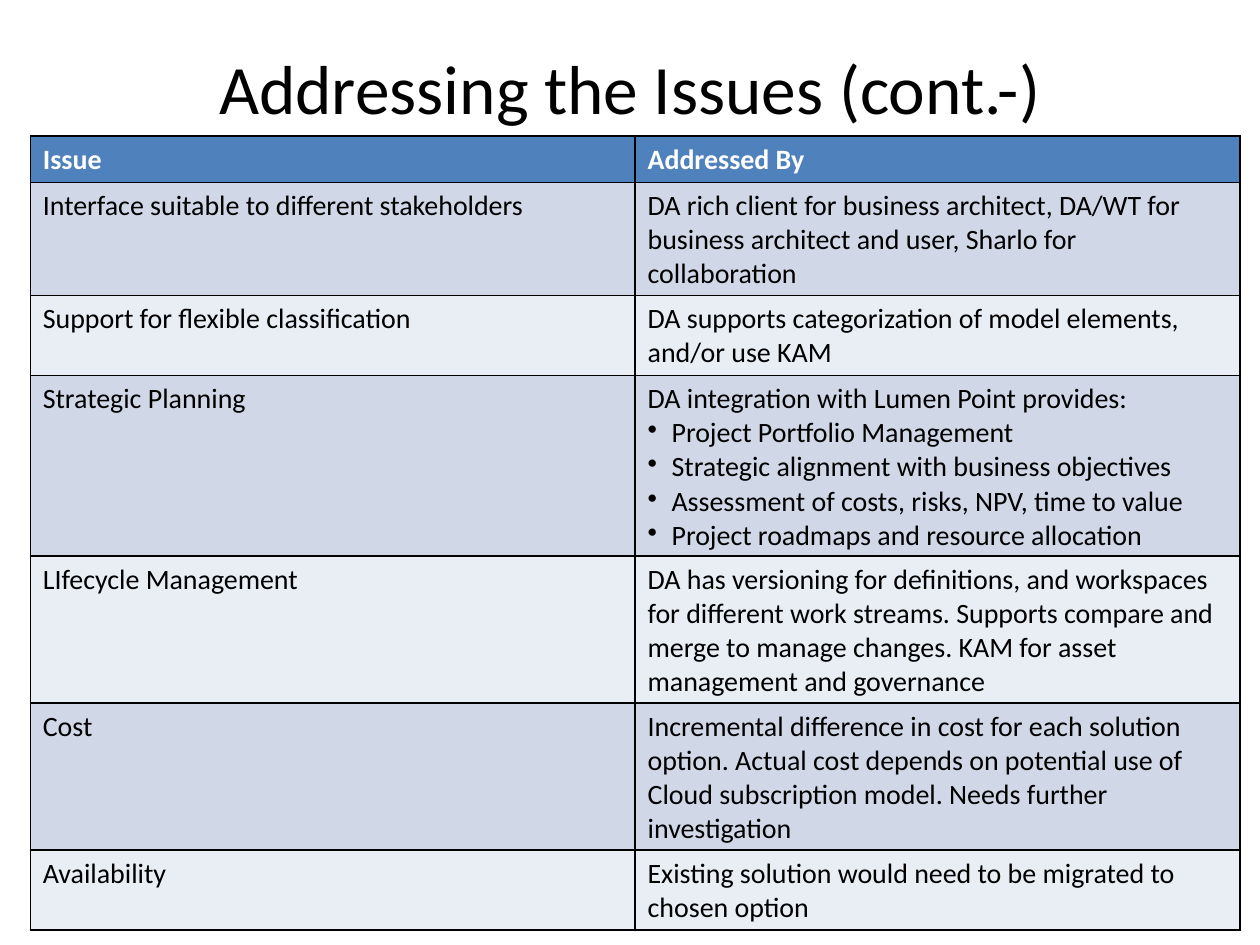
import pptx
import pptx.dml.color
import pptx.enum.text
import pptx.oxml
import pptx.oxml.ns
import pptx.util
from pptx.util import Inches

TITLE = "Addressing the Issues (cont.-)"
FONT = "Calibri"
BLACK, WHITE = "000000", "FFFFFF"
HEADER_FILL = "4F81BD"
BAND_FILLS = ["E9EDF4", "D0D8E8"]
BULLET = "• "
COLUMN_WIDTH = 4.8
ROW_HEIGHTS = [0.35, 0.87, 0.56, 1.38, 0.87, 1.12, 0.61]
ROWS = [
    ("Issue", ["Addressed By"]),
    ("Interface suitable to different stakeholders",
     ["DA rich client for business architect, DA/WT for business architect and user, "
      "Sharlo for collaboration"]),
    ("Support for flexible classification",
     ["DA supports categorization of model elements, and/or use KAM"]),
    ("Strategic Planning",
     ["DA integration with Lumen Point provides:",
      "• Project Portfolio Management",
      "• Strategic alignment with business objectives",
      "• Assessment of costs, risks, NPV, time to value",
      "• Project roadmaps and resource allocation"]),
    ("LIfecycle Management",
     ["DA has versioning for definitions, and workspaces for different work streams. "
      "Supports compare and merge to manage changes. KAM for asset management and governance"]),
    ("Cost",
     ["Incremental difference in cost for each solution option. Actual cost depends on "
      "potential use of Cloud subscription model. Needs further investigation"]),
    ("Availability",
     ["Existing solution would need to be migrated to chosen option"]),
]


def rgb(value):
    return pptx.dml.color.RGBColor.from_string(value)


def style(para, size, color, bold=False):
    para.font.name = FONT
    para.font.size = pptx.util.Pt(size)
    para.font.color.rgb = rgb(color)
    para.font.bold = bold


def add_bullet(para):
    properties = para._p.get_or_add_pPr()
    properties.set("marL", str(Inches(0.19)))
    properties.set("indent", str(Inches(-0.19)))
    bullet = pptx.oxml.parse_xml(
        f'<a:buChar {pptx.oxml.ns.nsdecls("a")} char="{BULLET.strip()}"/>')
    properties.insert_element_before(bullet, "a:tabLst", "a:defRPr", "a:extLst")


def add_borders(cell):
    properties = cell._tc.get_or_add_tcPr()
    for index, side in enumerate(["lnL", "lnR", "lnT", "lnB"]):
        border = pptx.oxml.parse_xml(
            f'<a:{side} {pptx.oxml.ns.nsdecls("a")} w="{pptx.util.Pt(1)}"><a:solidFill>'
            f'<a:srgbClr val="{BLACK}"/></a:solidFill></a:{side}>')
        properties.insert(index, border)


def fill_cell(cell, lines, fill, color, bold):
    cell.fill.solid()
    cell.fill.fore_color.rgb = rgb(fill)
    add_borders(cell)
    frame = cell.text_frame
    for index, line in enumerate(lines):
        para = frame.add_paragraph() if index else frame.paragraphs[0]
        para.text = line.removeprefix(BULLET)
        style(para, 16, color, bold)
        if line.startswith(BULLET):
            add_bullet(para)


def add_title(page):
    box = page.shapes.add_textbox(Inches(0.5), Inches(0.3), Inches(9), Inches(0.78))
    frame = box.text_frame
    frame.word_wrap = True
    frame.vertical_anchor = pptx.enum.text.MSO_ANCHOR.MIDDLE
    para = frame.paragraphs[0]
    para.text = TITLE
    para.alignment = pptx.enum.text.PP_ALIGN.CENTER
    style(para, 39.6, BLACK)


def add_issue_table(page):
    table = page.shapes.add_table(
        len(ROWS), 2, Inches(0.24), Inches(1.08),
        Inches(2 * COLUMN_WIDTH), Inches(sum(ROW_HEIGHTS))).table
    for column in table.columns:
        column.width = Inches(COLUMN_WIDTH)
    for index, (issue, answer) in enumerate(ROWS):
        table.rows[index].height = Inches(ROW_HEIGHTS[index])
        header = index == 0
        fill = HEADER_FILL if header else BAND_FILLS[index % 2]
        color = WHITE if header else BLACK
        for column, lines in enumerate([[issue], answer]):
            fill_cell(table.cell(index, column), lines, fill, color, header)


def main():
    deck = pptx.Presentation()
    deck.slide_width, deck.slide_height = Inches(10), Inches(7.5)
    page = deck.slides.add_slide(deck.slide_layouts[6])
    add_title(page)
    add_issue_table(page)
    deck.save("out.pptx")


if __name__ == "__main__":
    main()
